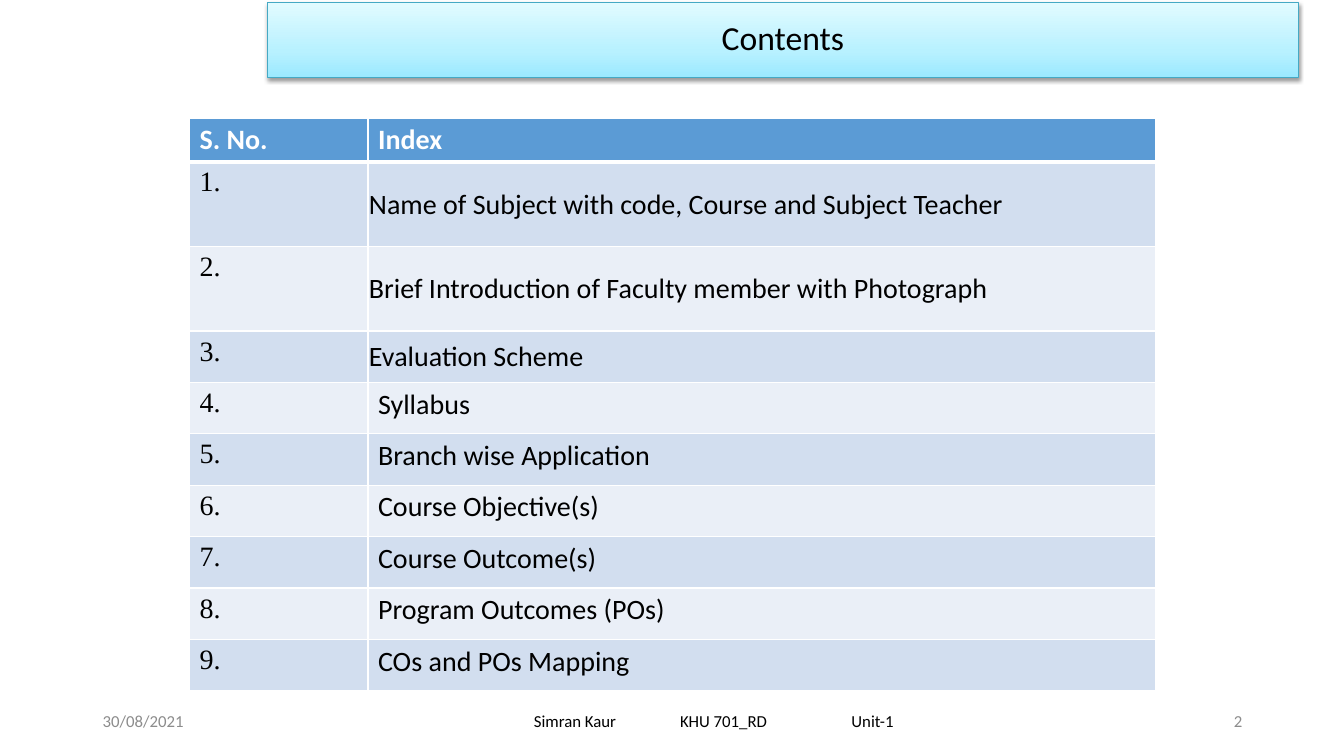
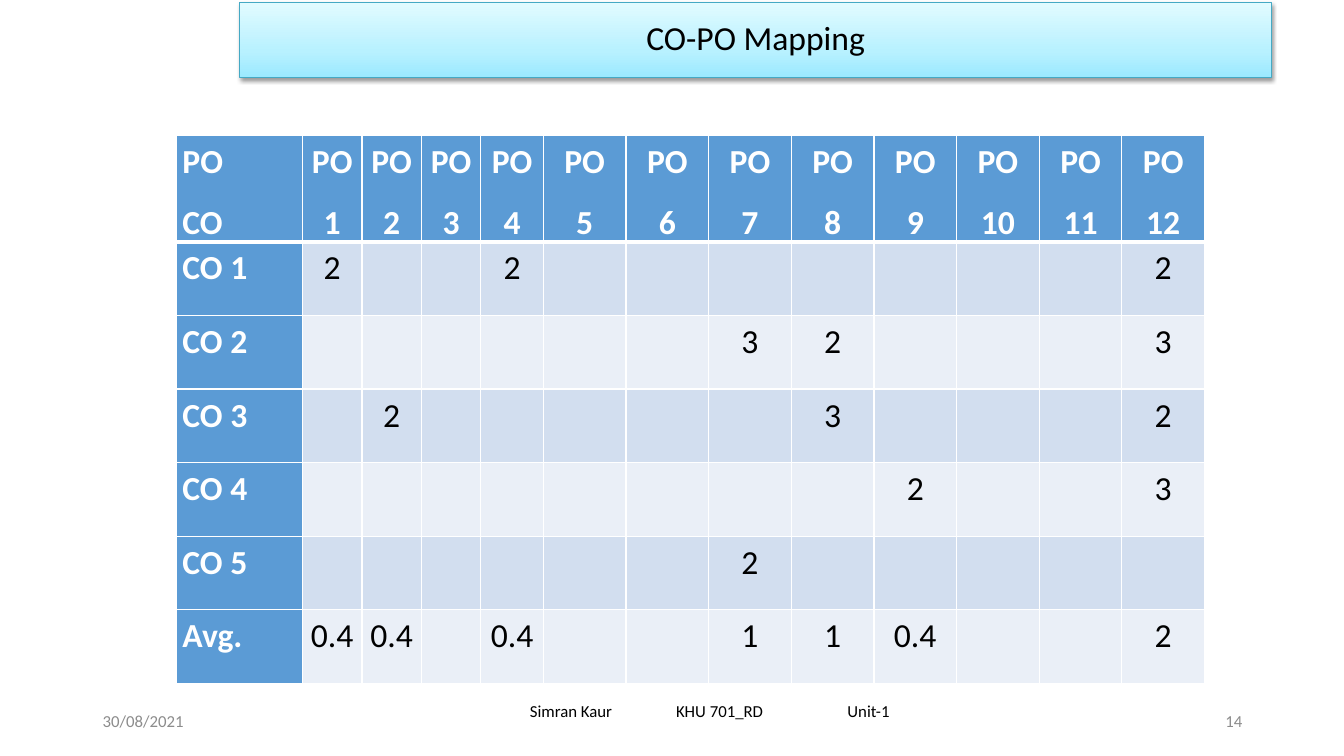
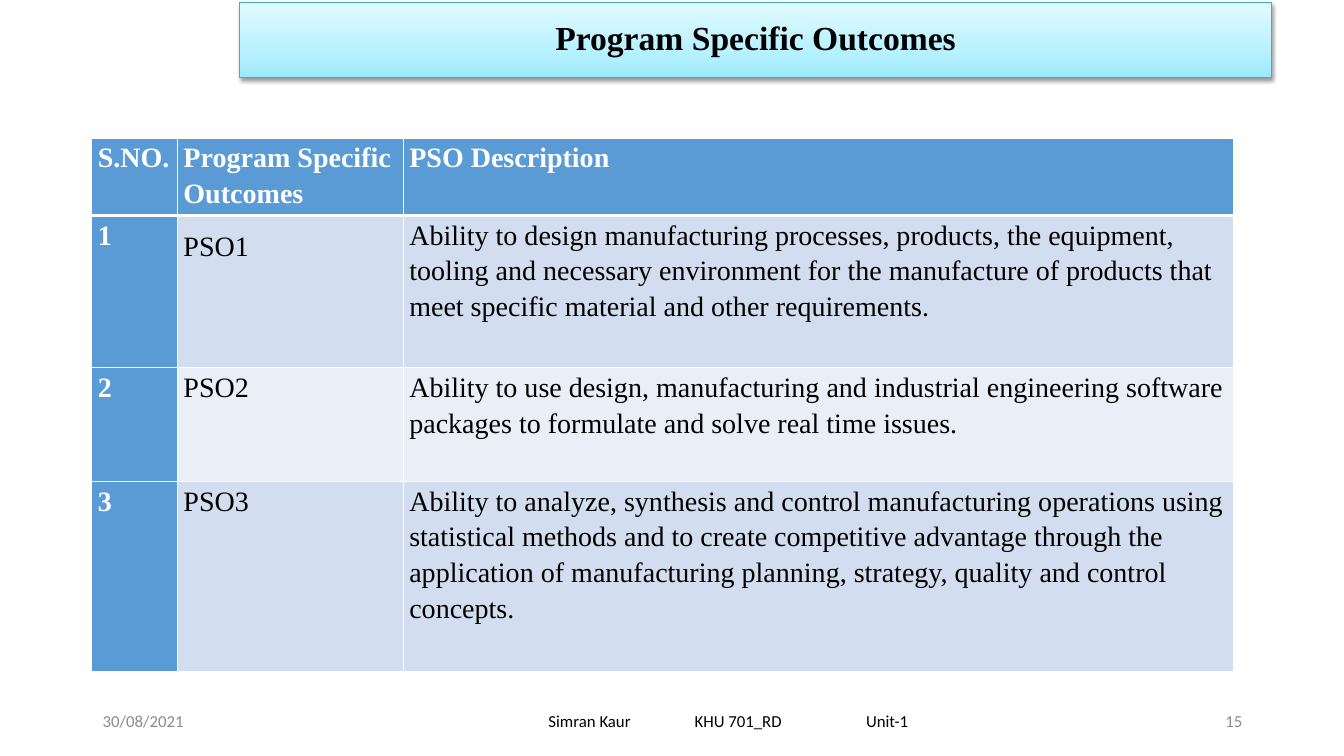
from lxml.etree import SubElement
from pptx import Presentation
from pptx.dml.color import RGBColor
from pptx.enum.shapes import MSO_SHAPE
from pptx.enum.text import MSO_ANCHOR, PP_ALIGN
from pptx.oxml import parse_xml
from pptx.oxml.ns import nsdecls, qn
from pptx.util import Inches, Pt

# Shared colours and fonts
BLACK = RGBColor(0x00, 0x00, 0x00)
WHITE = RGBColor(0xFF, 0xFF, 0xFF)
GREY = RGBColor(0x8C, 0x8C, 0x8C)
HEADER_BLUE = RGBColor(0x5B, 0x9B, 0xD5)
BAND_DARK = RGBColor(0xD2, 0xDE, 0xEF)
BAND_LIGHT = RGBColor(0xEA, 0xEF, 0xF7)
BANNER_LINE = RGBColor(0x45, 0xA9, 0xC4)
BANNER_STOPS = [(0, "9BE9FF"), (35, "B8F1FF"), (100, "E2FBFF")]
SANS = "Calibri"
SERIF = "Times New Roman"

# Shared footer content
DATE = "30/08/2021"
FOOTER = "Simran Kaur\tKHU 701_RD\tUnit-1"
FOOTER_WIDTH = 3.57
FOOTER_TABS = (1.45, 3.15)

# Cell insets: left, top, right, bottom
WIDE_INSETS = (0.1, 0.05, 0.1, 0.05)
TIGHT_INSETS = (0.06, 0, 0.06, 0)
THIN_INSETS = (0.01, 0.01, 0.01, 0)

# Slide content
INDEX = [
    "Name of Subject with code, Course and Subject Teacher",
    "Brief Introduction of Faculty member with Photograph",
    "Evaluation Scheme",
    "Syllabus",
    "Branch wise Application",
    "Course Objective(s)",
    "Course Outcome(s)",
    "Program Outcomes (POs)",
    "COs and POs Mapping",
]
PO_COUNT = 12
CO_SCORES = {
    "CO 1": {1: "2", 4: "2", 12: "2"},
    "CO 2": {7: "3", 8: "2", 12: "3"},
    "CO 3": {2: "2", 8: "3", 12: "2"},
    "CO 4": {9: "2", 12: "3"},
    "CO 5": {7: "2"},
    "Avg.": {1: "0.4", 2: "0.4", 4: "0.4", 7: "1", 8: "1", 9: "0.4", 12: "2"},
}
PSO_DESCRIPTIONS = [
    "Ability to design manufacturing processes, products, the equipment, "
    "tooling and necessary environment for the manufacture of products that "
    "meet specific material and other requirements.",
    "Ability to use design, manufacturing and industrial engineering software "
    "packages to formulate and solve real time issues.",
    "Ability to analyze, synthesis and control manufacturing operations using "
    "statistical methods and to create competitive advantage through the "
    "application of manufacturing planning, strategy, quality and control concepts.",
]


def format_text(frame, font, size, color, bold=False, align=None, spacing=None, after=None):
    for paragraph in frame.paragraphs:
        paragraph.alignment = align
        paragraph.line_spacing = spacing
        paragraph.space_after = after
        for run in paragraph.runs:
            run.font.name = font
            run.font.size = Pt(size)
            run.font.color.rgb = color
            run.font.bold = bold


# Title banner
def add_banner(slide, title, left=2.38, font=SANS, bold=False):
    banner = slide.shapes.add_shape(
        MSO_SHAPE.RECTANGLE, Inches(left), Inches(0.02), Inches(10.23), Inches(0.75))
    banner.line.color.rgb = BANNER_LINE
    banner.line.width = Pt(0.75)
    banner.fill.gradient()
    banner.fill.gradient_angle = 90
    stops = banner.element.spPr.find(qn("a:gradFill")).find(qn("a:gsLst"))
    for stop in list(stops):
        stops.remove(stop)
    for position, color in BANNER_STOPS:
        stop = SubElement(stops, qn("a:gs"), pos=str(position * 1000))
        SubElement(stop, qn("a:srgbClr"), val=color)
    banner.shadow.inherit = False
    banner.element.spPr.find(qn("a:effectLst")).append(parse_xml(
        f'<a:outerShdw {nsdecls("a")} blurRad="{Pt(3.1)}" dist="{Pt(1.6)}" dir="5400000" '
        'rotWithShape="0"><a:srgbClr val="000000"><a:alpha val="38000"/></a:srgbClr>'
        '</a:outerShdw>'))
    frame = banner.text_frame
    frame.text = title
    frame.vertical_anchor = MSO_ANCHOR.MIDDLE
    format_text(frame, font, 24, BLACK, bold, PP_ALIGN.CENTER, 0.9)


# Footer: date, course line, slide number
def add_footer_text(slide, text, box, color, align):
    frame = slide.shapes.add_textbox(*map(Inches, box)).text_frame
    frame.word_wrap = True
    frame.vertical_anchor = MSO_ANCHOR.MIDDLE
    frame.text = text
    format_text(frame, SANS, 12, color, align=align)
    return frame


def add_footer(slide, number, course_box):
    add_footer_text(slide, DATE, (0.92, 6.95, 3, 0.4), GREY, PP_ALIGN.LEFT)
    course = add_footer_text(slide, FOOTER, course_box, BLACK, PP_ALIGN.LEFT)
    course.margin_left = Inches((course_box[2] - FOOTER_WIDTH) / 2)
    course.margin_right = 0
    tabs = SubElement(course.paragraphs[0]._p.get_or_add_pPr(), qn("a:tabLst"))
    for tab in FOOTER_TABS:
        SubElement(tabs, qn("a:tab"), pos=str(Inches(tab)), algn="l")
    add_footer_text(slide, str(number), (9.42, 6.95, 3, 0.4), GREY, PP_ALIGN.RIGHT)


# Tables
def style_cell(cell, fill, insets, heavy_bottom):
    properties = cell._tc.get_or_add_tcPr()
    for side in "LRTB":
        width = 3 if heavy_bottom and side == "B" else 1
        properties.append(parse_xml(
            f'<a:ln{side} {nsdecls("a")} w="{Pt(width)}"><a:solidFill>'
            f'<a:srgbClr val="{WHITE}"/></a:solidFill></a:ln{side}>'))
    cell.fill.solid()
    cell.fill.fore_color.rgb = fill
    cell.margin_left, cell.margin_top, cell.margin_right, cell.margin_bottom = map(Inches, insets)


def add_grid(slide, left, top, widths, heights, rows, size, font=SANS,
             insets=WIDE_INSETS, header_column=False, center_from=None,
             spacing=None, after=None):
    table = slide.shapes.add_table(
        len(heights), len(widths), Inches(left), Inches(top),
        Inches(sum(widths)), Inches(sum(heights))).table
    table.first_col = header_column
    for column, width in zip(table.columns, widths):
        column.width = Inches(width)
    for r, (height, texts) in enumerate(zip(heights, rows)):
        table.rows[r].height = Inches(height)
        for c, text in enumerate(texts):
            cell = table.cell(r, c)
            heading = r == 0 or (header_column and c == 0)
            band = BAND_DARK if r % 2 else BAND_LIGHT
            style_cell(cell, HEADER_BLUE if heading else band, insets, r == 0)
            if text:
                centered = center_from is not None and c >= center_from
                cell.text_frame.text = text
                format_text(cell.text_frame, font, size, WHITE if heading else BLACK, heading,
                            PP_ALIGN.CENTER if centered else PP_ALIGN.LEFT, spacing, after)
    return table


# Slides
def build_contents(slide):
    add_footer(slide, 2, (3.58, 6.95, 7, 0.4))
    rows = [("S. No.", "Index")] + [(f"{n}.", topic) for n, topic in enumerate(INDEX, 1)]
    table = add_grid(slide, 1.88, 1.17, [1.77, 7.81],
                     [0.43] + [0.84] * 2 + [0.51] * 7, rows, 20)
    for r in range(1, len(rows)):
        format_text(table.cell(r, 0).text_frame, SERIF, 20, BLACK)
    for r in range(1, 4):
        topic = table.cell(r, 1)
        topic.vertical_anchor = MSO_ANCHOR.MIDDLE
        topic.margin_left, topic.margin_top, topic.margin_right, topic.margin_bottom = map(
            Inches, THIN_INSETS)
    add_banner(slide, "Contents", left=2.65)


def build_mapping(slide):
    add_footer(slide, 14, (3.5, 6.75, 7.08, 0.6))
    outcomes = range(1, PO_COUNT + 1)
    rows = [["PO\nCO"] + [f"PO\n{po}" for po in outcomes]]
    rows += [[co] + [scores.get(po, "") for po in outcomes] for co, scores in CO_SCORES.items()]
    add_grid(slide, 1.75, 1.34, [1.25] + [0.59] * 3 + [0.62] + [0.82] * 8,
             [1.05] + [0.73] * 6, rows, 24, insets=TIGHT_INSETS, header_column=True,
             center_from=1, spacing=1.15, after=Pt(10))
    add_banner(slide, "CO-PO Mapping")


def build_outcomes(slide):
    add_footer(slide, 15, (2.56, 6.95, 9.33, 0.4))
    rows = [("S.NO.", "Program Specific Outcomes", "PSO Description")]
    rows += [(str(n), f"PSO{n}", text) for n, text in enumerate(PSO_DESCRIPTIONS, 1)]
    table = add_grid(slide, 0.91, 1.37, [0.85, 2.24, 8.24], [0.7, 1.51, 1.13, 1.89], rows, 20,
                     font=SERIF, insets=TIGHT_INSETS, header_column=True,
                     spacing=1.15, after=Pt(10))
    first_outcome = table.cell(1, 1).text_frame.paragraphs[0]
    first_outcome.alignment = PP_ALIGN.JUSTIFY
    first_outcome.line_spacing = 1.5
    add_banner(slide, "Program Specific Outcomes", font=SERIF, bold=True)


def main():
    deck = Presentation()
    deck.slide_width, deck.slide_height = Inches(13.33), Inches(7.5)
    for build in (build_contents, build_mapping, build_outcomes):
        build(deck.slides.add_slide(deck.slide_layouts[6]))
    deck.save("out.pptx")


if __name__ == "__main__":
    main()
